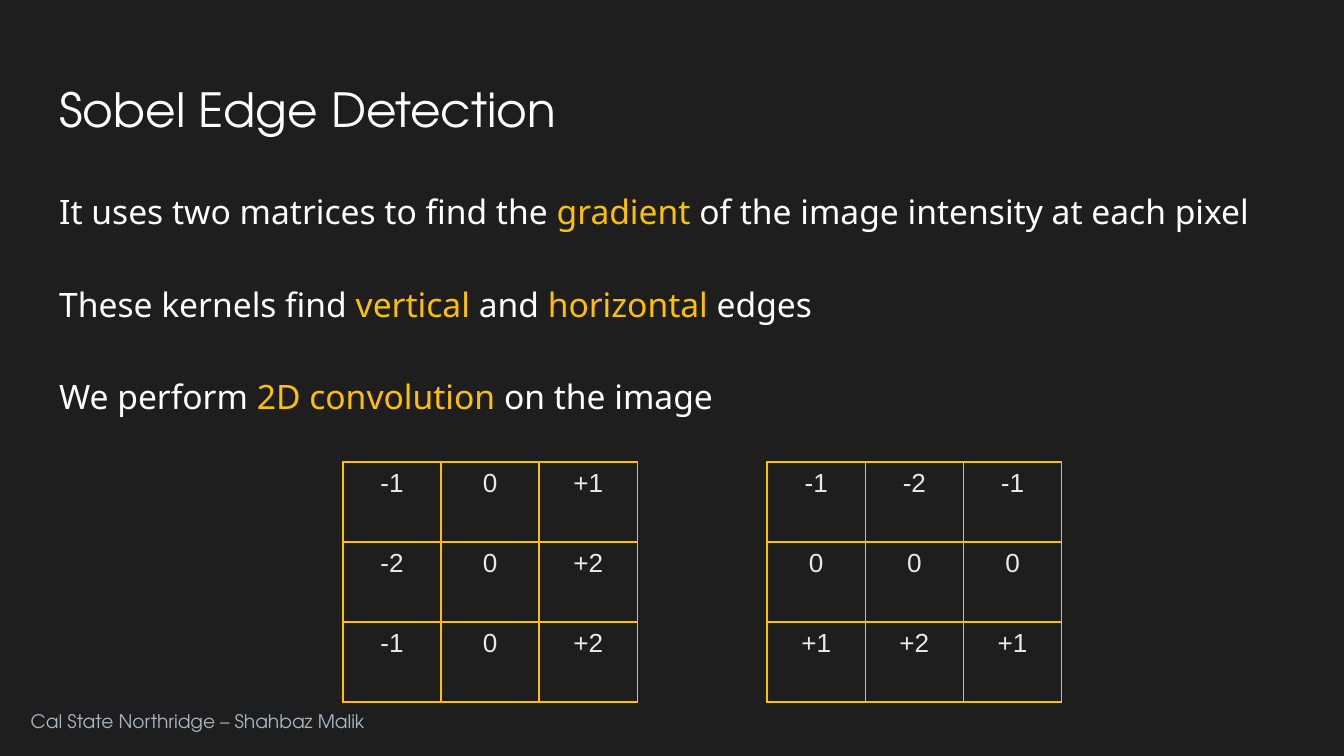
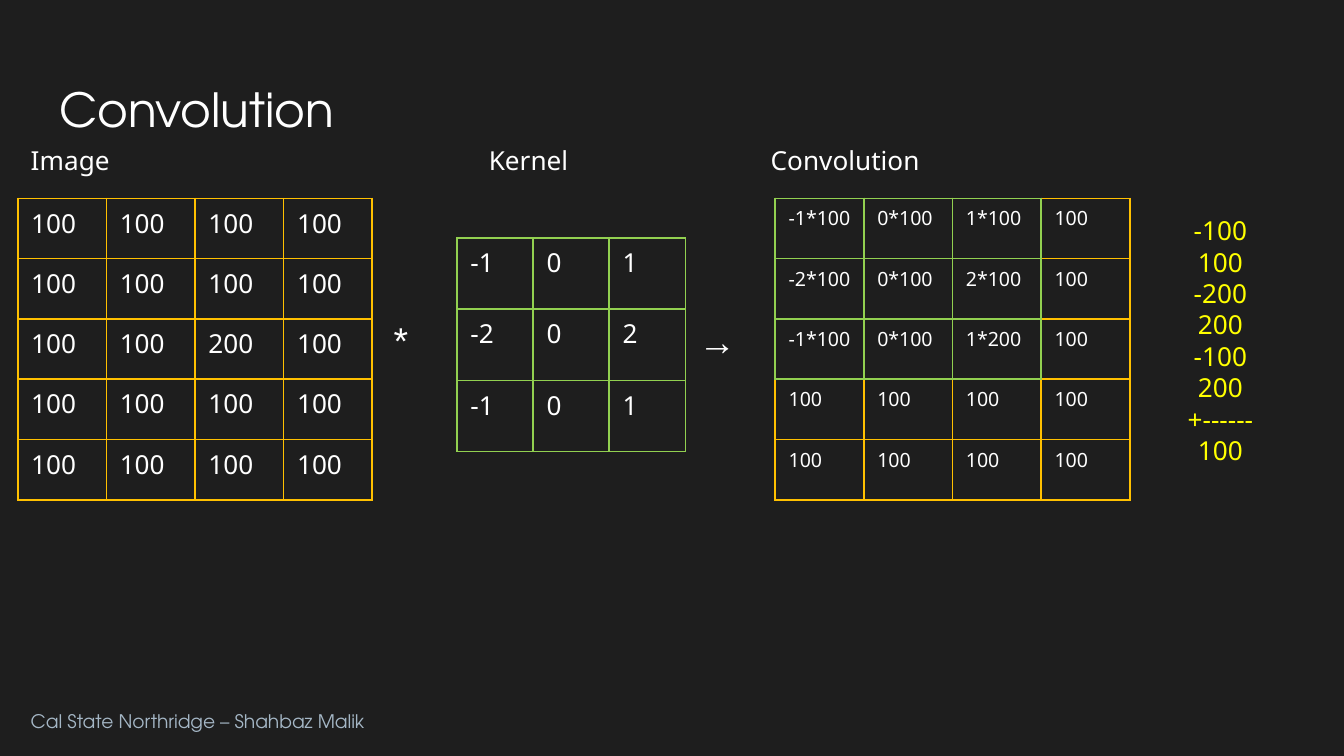
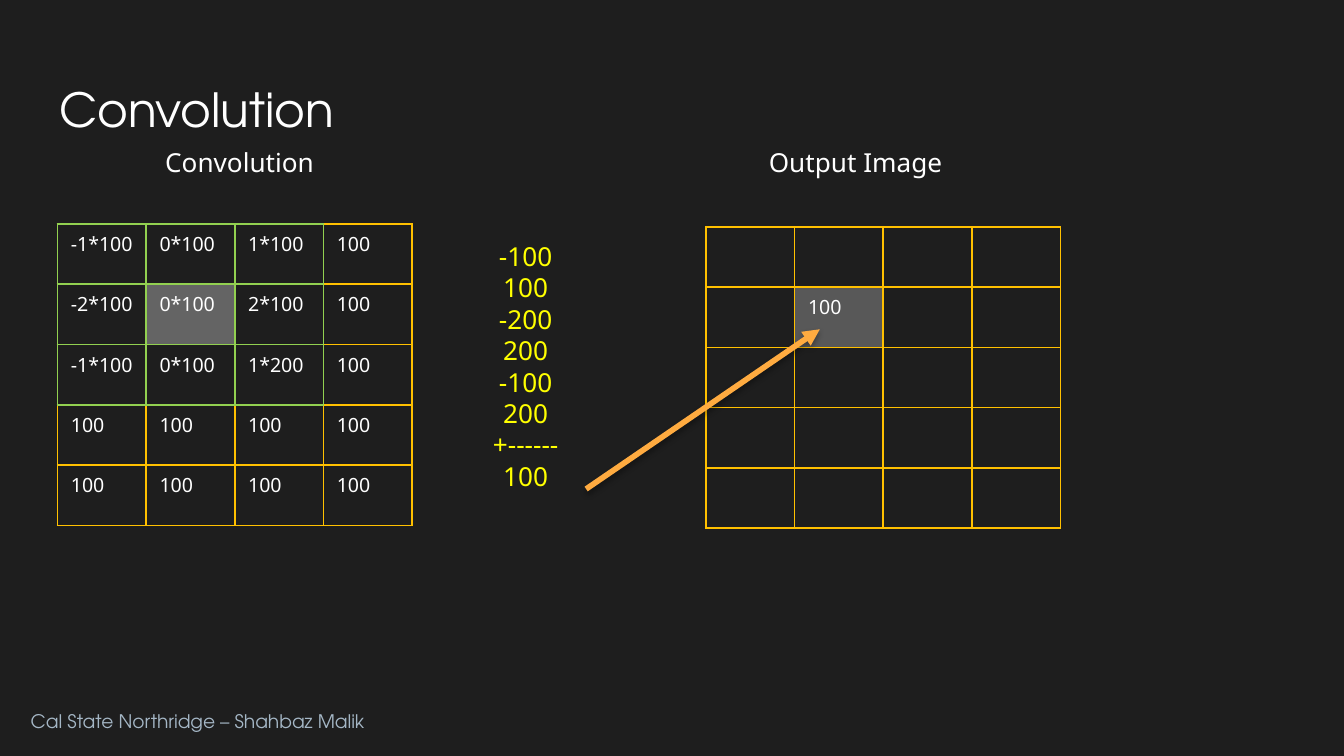
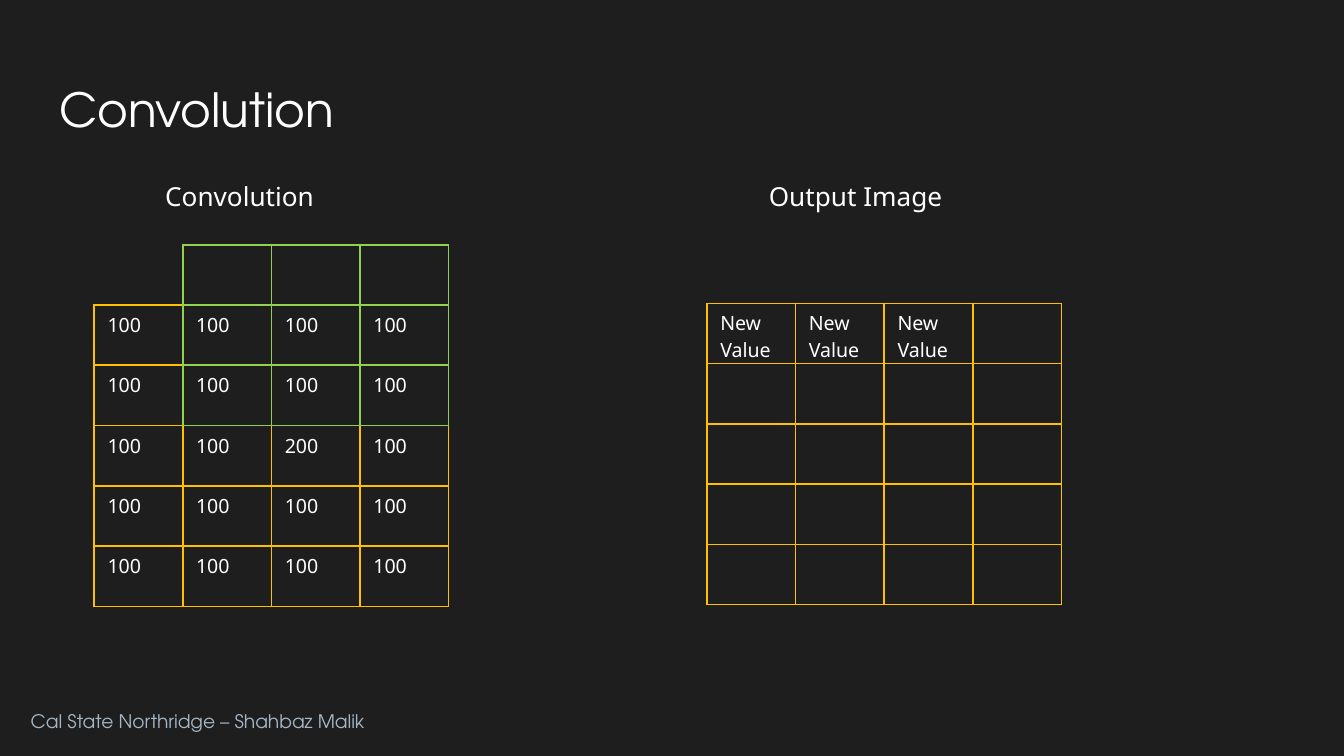
from lxml import etree
from pptx import Presentation
from pptx.dml.color import RGBColor
from pptx.enum.shapes import MSO_CONNECTOR
from pptx.enum.text import MSO_AUTO_SIZE as AutoSize, PP_ALIGN as Align
from pptx.oxml import parse_xml
from pptx.oxml.ns import nsdecls, qn
from pptx.util import Pt

# Content
FOOTER = "Cal State Northridge – Shahbaz Malik"

# Every second piece of a line is highlighted
SOBEL_LINES = [
    ("It uses two matrices to find the ", "gradient",
     " of the image intensity at each pixel"),
    ("These kernels find ", "vertical", " and ", "horizontal", " edges"),
    ("We perform ", "2D convolution ", "on the image"),
]
SOBEL_X = [["-1", "0", "+1"], ["-2", "0", "+2"], ["-1", "0", "+2"]]
SOBEL_Y = [["-1", "-2", "-1"], ["0", "0", "0"], ["+1", "+2", "+1"]]

IMAGE = [["100"] * 4 for _ in range(5)]
IMAGE[2][2] = "200"
KERNEL = [["-1", "0", "1"], ["-2", "0", "2"], ["-1", "0", "1"]]
PRODUCTS = [
    ["-1*100", "0*100", "1*100", "100"],
    ["-2*100", "0*100", "2*100", "100"],
    ["-1*100", "0*100", "1*200", "100"],
] + IMAGE[3:]
WINDOW = [[""] * 3 for _ in range(3)]
FIRST_OUTPUT = [[""] * 4 for _ in range(5)]
FIRST_OUTPUT[1][1] = "100"
EDGE_OUTPUT = [["New Value"] * 3 + [""]] + [[""] * 4 for _ in range(4)]
SUM_LINES = ["-100", "100", "-200", "200", "-100", "200", "+------", "100"]

# Look
BACKGROUND = RGBColor(0x1E, 0x1E, 0x1E)
WHITE = RGBColor(0xFF, 0xFF, 0xFF)
OFF_WHITE = RGBColor(0xE9, 0xE9, 0xE9)
FOOTER_BLUE = RGBColor(0xA5, 0xB7, 0xC6)
AMBER = RGBColor(0xFF, 0xC0, 0x00)
GREEN = RGBColor(0x92, 0xD0, 0x50)
YELLOW = RGBColor(0xFF, 0xFF, 0x00)
ORANGE = RGBColor(0xFF, 0xAB, 0x40)
CENTRE_GREY = RGBColor(0x64, 0x64, 0x64)
OUTPUT_GREY = RGBColor(0x58, 0x58, 0x58)

HEAD_FONT, TEXT_FONT, PLAIN_FONT = "TeX Gyre Adventor", "Noto Sans", "Arial"
SOBEL_CELL = (52.6, 42.9)
KERNEL_CELL = (40.8, 38.2)
PIXEL_CELL = (47.5, 32.3)
TITLE_ONLY, TITLE_AND_BODY = 5, 1


def place(shape, left, top, width, height):
    shape.left, shape.top = Pt(left), Pt(top)
    shape.width, shape.height = Pt(width), Pt(height)


def format_text(text_frame, size, color, font=TEXT_FONT, align=Align.LEFT):
    for paragraph in text_frame.paragraphs:
        paragraph.alignment = align
        for run in paragraph.runs:
            run.font.size = Pt(size)
            run.font.name = font
            run.font.color.rgb = color


def set_insets(text_frame, inset):
    text_frame.margin_left = text_frame.margin_right = Pt(inset)
    text_frame.margin_top = text_frame.margin_bottom = Pt(inset)


def add_text(slide, text, left, top, width, height, size, color=WHITE,
             font=TEXT_FONT, align=Align.LEFT):
    box = slide.shapes.add_textbox(Pt(left), Pt(top), Pt(width), Pt(height))
    box.text_frame.word_wrap = True
    box.text_frame.text = text
    format_text(box.text_frame, size, color, font, align)
    return box


def add_slide(presentation, title, layout=TITLE_ONLY):
    slide = presentation.slides.add_slide(presentation.slide_layouts[layout])
    heading = slide.shapes.title
    place(heading, 24.5, 35.3, 671, 45.4)
    heading.text_frame.text = title
    heading.text_frame.auto_size = AutoSize.NONE
    set_insets(heading.text_frame, 7.2)
    format_text(heading.text_frame, 25.2, WHITE, HEAD_FONT)
    return slide


def add_footer(presentation, slide):
    """Make the footer once and move it to the slide master."""
    footer = add_text(slide, FOOTER, 9.4, 374.4, 274, 26.6, 10, FOOTER_BLUE, HEAD_FONT)
    set_insets(footer.text_frame, 7.2)
    presentation.slide_master.shapes.element.append(footer.element)


def set_borders(cell, color):
    properties = cell._tc.get_or_add_tcPr()
    for side in ("lnL", "lnR", "lnT", "lnB"):
        line = etree.SubElement(properties, qn(f"a:{side}"), w=str(Pt(1)))
        fill = etree.SubElement(line, qn("a:solidFill"))
        etree.SubElement(fill, qn("a:srgbClr"), val=str(color))


def add_grid(slide, values, left, top, cell_size, border=AMBER, size=10.5,
             color=WHITE, font=TEXT_FONT, align=Align.LEFT, shaded=None):
    """Draw values as a table; shaded maps (row, column) to a fill colour."""
    width, height = cell_size
    row_count, column_count = len(values), len(values[0])
    table = slide.shapes.add_table(
        row_count, column_count, Pt(left), Pt(top),
        Pt(width * column_count), Pt(height * row_count)).table
    table.first_row = table.horz_banding = False
    for column in table.columns:
        column.width = Pt(width)
    for row_index, row in enumerate(table.rows):
        row.height = Pt(height)
        for column_index, cell in enumerate(row.cells):
            cell.text_frame.text = values[row_index][column_index]
            cell.margin_bottom = 0
            format_text(cell.text_frame, size, color, font, align)
            set_borders(cell, border)
            fill_color = (shaded or {}).get((row_index, column_index))
            if fill_color is None:
                cell.fill.background()
            else:
                cell.fill.solid()
                cell.fill.fore_color.rgb = fill_color


def add_labels(slide, top, labels):
    for text, left in labels:
        add_text(slide, text, left, top, 130, 24.5, 14)


def add_sum(slide, left, top):
    box = add_text(slide, "\n".join(SUM_LINES), left, top, 62, 143, 14,
                   YELLOW, align=Align.CENTER)
    for paragraph in box.text_frame.paragraphs:
        paragraph.line_spacing = Pt(16.8)


def add_arrow(slide, start, end):
    arrow = slide.shapes.add_connector(
        MSO_CONNECTOR.STRAIGHT, *(Pt(value) for value in start + end))
    arrow.line.color.rgb = ORANGE
    arrow.line.width = Pt(3)
    properties = arrow.element.spPr
    etree.SubElement(properties.find(qn("a:ln")), qn("a:tailEnd"), type="triangle")
    properties.append(parse_xml(
        f'<a:effectLst {nsdecls("a")}>'
        '<a:outerShdw blurRad="40000" dist="23000" dir="5400000" rotWithShape="0">'
        '<a:srgbClr val="000000"><a:alpha val="35000"/></a:srgbClr>'
        '</a:outerShdw></a:effectLst>'))


def fill_body(body, lines):
    place(body, 24.5, 92, 671, 150)
    text_frame = body.text_frame
    text_frame.auto_size = AutoSize.NONE
    set_insets(text_frame, 7.2)
    for index, pieces in enumerate(lines):
        paragraph = text_frame.add_paragraph() if index else text_frame.paragraphs[0]
        for piece in pieces:
            paragraph.add_run().text = piece
        paragraph.line_spacing = paragraph.space_after = Pt(24.8)
        paragraph.space_before = Pt(0)
        properties = paragraph._p.get_or_add_pPr()
        properties.set("marL", "0")
        properties.set("indent", "0")
        etree.SubElement(properties, qn("a:buNone"))
    format_text(text_frame, 18, WHITE)
    for paragraph in text_frame.paragraphs:
        for run in paragraph.runs[1::2]:
            run.font.color.rgb = AMBER


def build_sobel(presentation):
    slide = add_slide(presentation, "Sobel Edge Detection", TITLE_AND_BODY)
    add_footer(presentation, slide)
    fill_body(slide.placeholders[1], SOBEL_LINES)
    for matrix, left in ((SOBEL_X, 183.7), (SOBEL_Y, 411)):
        add_grid(slide, matrix, left, 247.5, SOBEL_CELL, size=14,
                 color=OFF_WHITE, font=PLAIN_FONT, align=Align.CENTER)


def build_products(presentation):
    slide = add_slide(presentation, "Convolution")
    add_labels(slide, 74, [("Image", 9.4), ("Kernel", 254.8), ("Convolution", 405.8)])
    add_grid(slide, IMAGE, 9.5, 106.3, PIXEL_CELL, size=14)
    add_text(slide, "*", 203.8, 166.3, 30, 31.7, 20, font=PLAIN_FONT)
    add_grid(slide, KERNEL, 244.8, 127.4, KERNEL_CELL, GREEN, size=14)
    add_text(slide, "→", 367.2, 167, 30, 31.7, 20, font=PLAIN_FONT)
    for values, border in ((PRODUCTS, AMBER), (WINDOW, GREEN)):
        add_grid(slide, values, 415.3, 106.3, PIXEL_CELL, border)
    add_sum(slide, 622.8, 111.5)


def build_first_output(presentation):
    slide = add_slide(presentation, "Convolution")
    add_labels(slide, 75, [("Convolution", 81.4), ("Output Image", 404.8)])
    add_grid(slide, PRODUCTS, 30.8, 120, PIXEL_CELL, shaded={(1, 1): CENTRE_GREY})
    add_grid(slide, WINDOW, 30.8, 120, PIXEL_CELL, GREEN)
    add_grid(slide, FIRST_OUTPUT, 378.2, 121.5, PIXEL_CELL, shaded={(1, 1): OUTPUT_GREY})
    add_arrow(slide, (314, 262), (439.2, 176.4))
    add_sum(slide, 250.6, 125.3)


def build_edge_output(presentation):
    slide = add_slide(presentation, "Convolution")
    add_labels(slide, 93, [("Convolution", 81.4), ("Output Image", 404.8)])
    left, top = 50.4, 163.4
    add_grid(slide, IMAGE, left, top, PIXEL_CELL)
    # The window sits one cell right of and one cell above the image
    add_grid(slide, WINDOW, left + PIXEL_CELL[0], top - PIXEL_CELL[1], PIXEL_CELL, GREEN)
    add_grid(slide, EDGE_OUTPUT, 378.7, 162.5, PIXEL_CELL)


def main():
    presentation = Presentation()
    presentation.slide_width, presentation.slide_height = Pt(720), Pt(405)
    background = presentation.slide_master.background.fill
    background.solid()
    background.fore_color.rgb = BACKGROUND
    for build in (build_sobel, build_products, build_first_output, build_edge_output):
        build(presentation)
    presentation.save("out.pptx")


if __name__ == "__main__":
    main()
